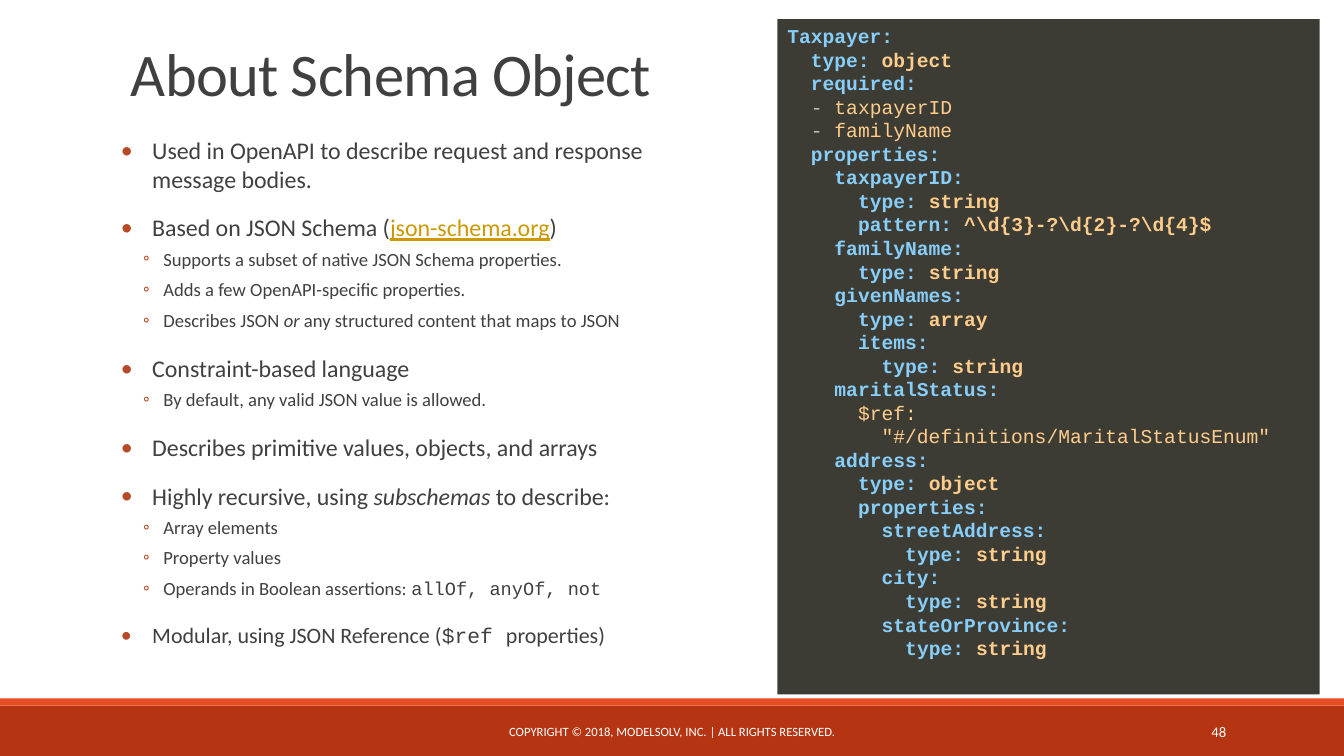
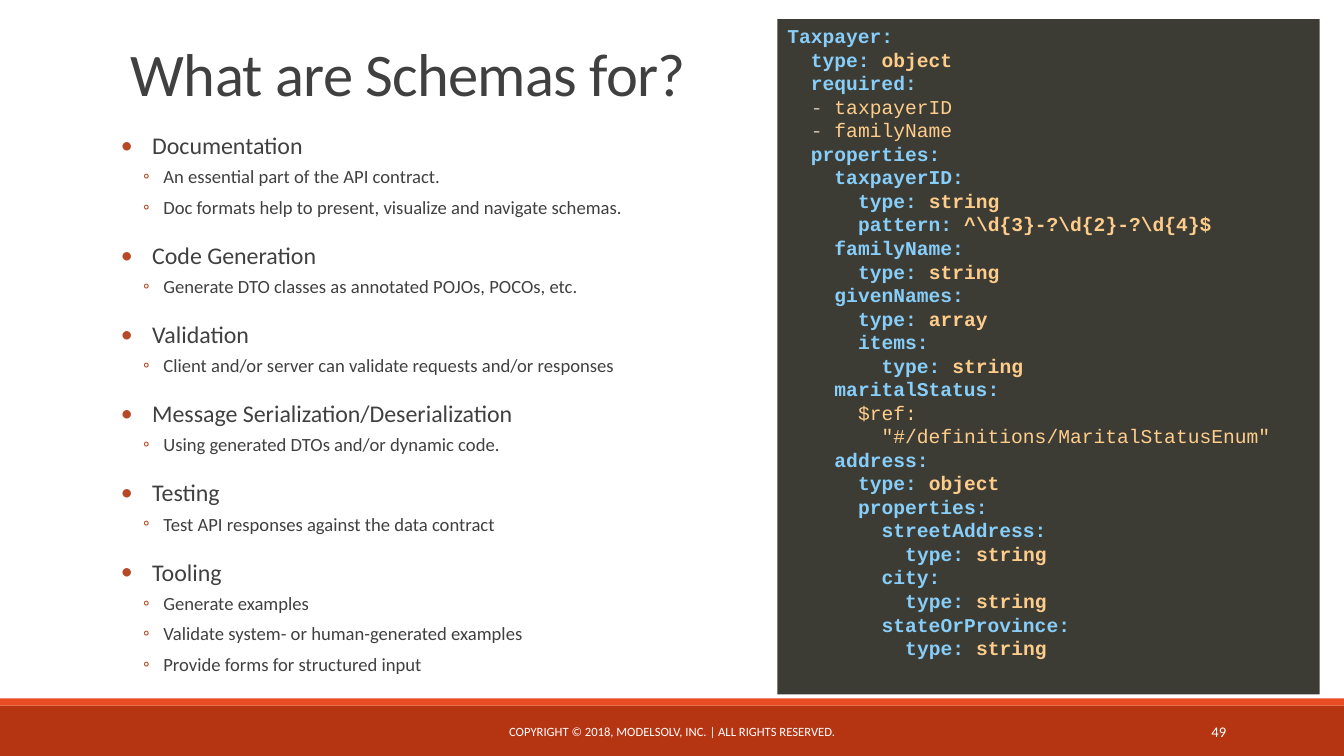
"""Builds two slides on schema objects, each with bullets beside a code panel."""
from dataclasses import dataclass

from lxml import etree
from pptx import Presentation
from pptx.dml.color import RGBColor
from pptx.enum.shapes import MSO_SHAPE
from pptx.enum.text import MSO_ANCHOR, PP_ALIGN
from pptx.oxml.ns import qn
from pptx.util import Inches, Pt

RECT = MSO_SHAPE.RECTANGLE
TOP, MIDDLE, BOTTOM = MSO_ANCHOR.TOP, MSO_ANCHOR.MIDDLE, MSO_ANCHOR.BOTTOM
LEFT, CENTER, RIGHT = PP_ALIGN.LEFT, PP_ALIGN.CENTER, PP_ALIGN.RIGHT


@dataclass(frozen=True)
class Theme:
    sans: str = "Calibri"
    mono: str = "Courier New"
    ink: str = "404040"
    white: str = "FFFFFF"
    link: str = "CC9900"
    bullet: str = "B64926"
    band: str = "B53513"
    stripe: str = "E84C22"
    panel: str = "3C3C34"
    code_key: str = "87CEFA"
    code_value: str = "FFCD8B"
    code_plain: str = "CFBFAD"
    title_size: float = 43.2
    body_sizes: tuple = (17.1, 13.3)
    reference_size: float = 15.7
    reference_code_size: float = 15.2
    code_size: float = 14
    footer_size: float = 9
    number_size: float = 10.5


T = Theme()

LEVELS = [
    {"char": "•", "margin": 0.31, "hang": 0.31, "before": 12, "after": 2},
    {"char": "◦", "margin": 0.42, "hang": 0.2, "before": 2, "after": 4},
]
STYLES = {
    "text": {},
    "italic": {"italic": True},
    "link": {"color": T.link, "underline": True},
    "code": {"font": T.mono},
    "reference": {"size": T.reference_size},
    "reference code": {"size": T.reference_code_size, "font": T.mono},
}
FOOTER = "COPYRIGHT © 2018, MODELSOLV, INC. | ALL RIGHTS RESERVED."
CODE = r"""Taxpayer:
  type: object
  required:
  - taxpayerID
  - familyName
  properties:
    taxpayerID:
      type: string
      pattern: ^\d{3}-?\d{2}-?\d{4}$
    familyName:
      type: string
    givenNames:
      type: array
      items:
        type: string
    maritalStatus:
      $ref:
        "#/definitions/MaritalStatusEnum"
    address:
      type: object
      properties:
        streetAddress:
          type: string
        city:
          type: string
        stateOrProvince:
          type: string"""

SLIDES = [
    {
        "title": "About Schema Object",
        "number": "48",
        "body_top": 1.3,
        "bullets": [
            (0, [("Used in OpenAPI to describe request and response message bodies.", "text")]),
            (0, [("Based on JSON Schema (", "text"), ("json-schema.org", "link"), (")", "text")]),
            (1, [("Supports a subset of native JSON Schema properties.", "text")]),
            (1, [("Adds a few OpenAPI-specific properties.", "text")]),
            (1, [("Describes JSON ", "text"), ("or", "italic"),
                 (" any structured content that maps to JSON", "text")]),
            (0, [("Constraint-based language", "text")]),
            (1, [("By default, any valid JSON value is allowed.", "text")]),
            (0, [("Describes primitive values, objects, and arrays", "text")]),
            (0, [("Highly recursive, using ", "text"), ("subschemas ", "italic"),
                 ("to describe:", "text")]),
            (1, [("Array elements", "text")]),
            (1, [("Property values", "text")]),
            (1, [("Operands in Boolean assertions: ", "text"), ("allOf, anyOf, not", "code")]),
            (0, [("Modular, using JSON Reference (", "reference"), ("$ref ", "reference code"),
                 ("properties)", "reference")]),
        ],
    },
    {
        "title": "What are Schemas for?",
        "number": "49",
        "body_top": 1.25,
        "bullets": [
            (0, [("Documentation", "text")]),
            (1, [("An essential part of the API contract.", "text")]),
            (1, [("Doc formats help to present, visualize and navigate schemas.", "text")]),
            (0, [("Code Generation", "text")]),
            (1, [("Generate DTO classes as annotated POJOs, POCOs, etc.", "text")]),
            (0, [("Validation", "text")]),
            (1, [("Client and/or server can validate requests and/or responses", "text")]),
            (0, [("Message Serialization/Deserialization", "text")]),
            (1, [("Using generated DTOs and/or dynamic code.", "text")]),
            (0, [("Testing", "text")]),
            (1, [("Test API responses against the data contract", "text")]),
            (0, [("Tooling", "text")]),
            (1, [("Generate examples", "text")]),
            (1, [("Validate system- or human-generated examples", "text")]),
            (1, [("Provide forms for structured input", "text")]),
        ],
    },
]


def add_box(s, left, top, width, height, fill=None, anchor=TOP):
    at = [Inches(n) for n in (left, top, width, height)]
    if fill:
        sp = s.shapes.add_shape(RECT, *at)
        sp.shadow.inherit = False
        sp.fill.solid()
        sp.fill.fore_color.rgb = RGBColor.from_string(fill)
        sp.line.fill.background()
    else:
        sp = s.shapes.add_textbox(*at)
    tf = sp.text_frame
    tf.word_wrap = True
    tf.vertical_anchor = anchor
    return tf


def add_run(p, text, size, color=T.ink, font=T.sans, bold=False, italic=False, underline=False):
    r = p.add_run()
    r.text = text
    r.font.size = Pt(size)
    r.font.name = font
    r.font.color.rgb = RGBColor.from_string(color)
    r.font.bold = bold
    r.font.italic = italic
    r.font.underline = underline
    return r


prs = Presentation()
prs.slide_width, prs.slide_height = Inches(13.33), Inches(7.5)

for page in SLIDES:
    s = prs.slides.add_slide(prs.slide_layouts[6])
    add_box(s, 0, 7, 13.33, 0.5, T.band)
    add_box(s, 0, 6.93, 13.33, 0.07, T.stripe)

    tf = add_box(s, 1.2, 0.31, 11, 0.82, anchor=BOTTOM)
    r = add_run(tf.paragraphs[0], page["title"], T.title_size)
    r.font._element.set("spc", "-50")

    tf = add_box(s, 1.2, page["body_top"], 5.95, 6.89 - page["body_top"])
    tf.margin_left = tf.margin_right = 0
    for i, (level, runs) in enumerate(page["bullets"]):
        p = tf.add_paragraph() if i else tf.paragraphs[0]
        look = LEVELS[level]
        p.level = level
        pPr = p._p.get_or_add_pPr()
        pPr.set("marL", str(Inches(look["margin"])))
        pPr.set("indent", str(-Inches(look["hang"])))
        color = etree.SubElement(pPr, qn("a:buClr"))
        etree.SubElement(color, qn("a:srgbClr"), val=T.bullet)
        etree.SubElement(pPr, qn("a:buFont"), typeface=T.sans)
        etree.SubElement(pPr, qn("a:buChar"), char=look["char"])
        p.space_before = Pt(look["before"] if i else 0)
        p.space_after = Pt(look["after"])
        for text, style in runs:
            add_run(p, text, **{"size": T.body_sizes[level], **STYLES[style]})

    for left, width, align, text, size in [
        (4.03, 5.27, CENTER, FOOTER, T.footer_size),
        (10.83, 1.43, RIGHT, page["number"], T.number_size),
    ]:
        p = add_box(s, left, 7.06, width, 0.4, anchor=MIDDLE).paragraphs[0]
        p.alignment = align
        add_run(p, text, size, T.white)

    tf = add_box(s, 7.71, 0.19, 5.38, 6.7, T.panel)
    for i, line in enumerate(CODE.splitlines()):
        p = tf.add_paragraph() if i else tf.paragraphs[0]
        p.alignment = LEFT
        text = line.lstrip(" -")
        indent = line[:len(line) - len(text)]
        if indent.endswith("- ") or text[0] in '$"':
            parts = [(text, T.code_value, False)]
        else:
            key, colon, value = text.partition(": ")
            parts = [(key + colon, T.code_key, True), (value, T.code_value, True)]
        for part, color, bold in [(indent, T.code_plain, False), *parts]:
            if part:
                add_run(p, part, T.code_size, color, T.mono, bold)

prs.save("out.pptx")
